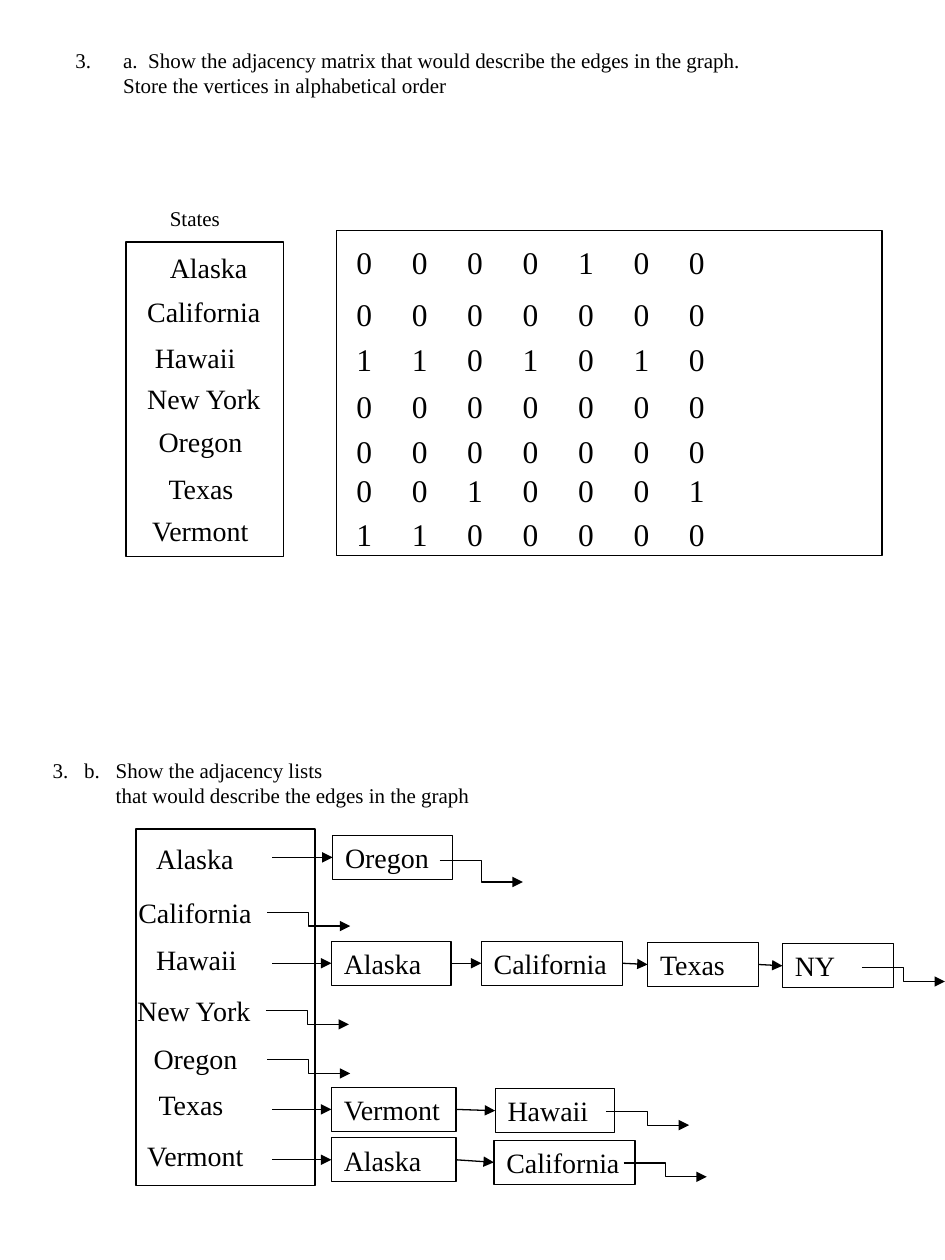
from itertools import pairwise

from lxml.etree import SubElement
from pptx import Presentation
from pptx.dml.color import RGBColor
from pptx.enum.shapes import MSO_CONNECTOR, MSO_SHAPE
from pptx.enum.text import MSO_ANCHOR, MSO_AUTO_SIZE, PP_ALIGN
from pptx.oxml.ns import qn
from pptx.util import Inches, Pt

COLORS = {"ink": "000000"}
FONT = "Times New Roman"
LINE_WIDTH = Pt(0.75)
NODE_HEIGHT = 0.35
POINTER_LEFT = 1.08
COLUMN_STEP = 0.44
LABEL_WIDTHS = {
    "Alaska": 0.83, "California": 1.12, "Hawaii": 0.85, "New York": 1.11,
    "Oregon": 0.88, "Texas": 0.72, "Vermont": 0.98,
}
STATE_OFFSETS = [
    (0.25, 0.02), (0.07, 0.37), (0.13, 0.73), (0.07, 1.06),
    (0.16, 1.4), (0.24, 1.77), (0.11, 2.11),
]
MATRIX_ROWS = [
    (0.05, "0000100"), (0.46, "0000000"), (0.82, "1101010"), (1.19, "0000000"),
    (1.55, "0000000"), (1.86, "0010001"), (2.21, "1100000"),
]
ADJACENCY_LISTS = [
    ((0.06, 0.05), [("Oregon", 1.56, 0.05, 0.95)], (2.41, 0.25, 0.17)),
    ((-0.08, 0.48), [], (1.04, 0.66, 0.11)),
    ((0.06, 0.85),
     [("Alaska", 1.55, 0.89, 0.95), ("California", 2.74, 0.89, 1.12),
      ("Texas", 4.06, 0.9, 0.88), ("NY", 5.13, 0.91, 0.88)],
     (5.76, 1.1, 0.11)),
    ((-0.09, 1.26), [], (1.03, 1.44, 0.11)),
    ((0.04, 1.64), [], (1.04, 1.83, 0.11)),
    ((0.08, 2), [("Vermont", 1.55, 2.05, 0.99), ("Hawaii", 2.85, 2.06, 0.95)],
     (3.73, 2.24, 0.11)),
    ((-0.01, 2.41), [("Alaska", 1.55, 2.45, 0.99), ("California", 2.84, 2.47, 1.12)],
     (3.87, 2.65, 0.11)),
]


def write_text(frame, text, size=16, wrap=False, tabs=()):
    """Fill a text frame, one paragraph per line of text."""
    frame.word_wrap = wrap
    for index, line in enumerate(text.split("\n")):
        para = frame.add_paragraph() if index else frame.paragraphs[0]
        para.alignment = PP_ALIGN.LEFT
        span = para.add_run()
        span.text = line
        span.font.name = FONT
        span.font.size = Pt(size)
        span.font.color.rgb = RGBColor.from_string(COLORS["ink"])
        if tabs:
            stops = SubElement(para._p.get_or_add_pPr(), qn("a:tabLst"))
            for stop in tabs:
                SubElement(stops, qn("a:tab"), pos=str(Inches(stop)), algn="l")


def add_label(page, text, left, top, width, height=0.37, **text_format):
    """Add a text box and return its text frame."""
    frame = page.shapes.add_textbox(
        Inches(left), Inches(top), Inches(width), Inches(height)).text_frame
    write_text(frame, text, **text_format)
    frame.auto_size = MSO_AUTO_SIZE.SHAPE_TO_FIT_TEXT
    return frame


def add_frame(page, left, top, width, height):
    """Add an unfilled outlined rectangle."""
    frame = page.shapes.add_shape(
        MSO_SHAPE.RECTANGLE, Inches(left), Inches(top), Inches(width), Inches(height))
    frame.shadow.inherit = False
    frame.fill.background()
    frame.line.color.rgb = RGBColor.from_string(COLORS["ink"])
    frame.line.width = LINE_WIDTH
    return frame


def add_arrow(page, left, top, width=0, height=0, kind=MSO_CONNECTOR.STRAIGHT):
    """Add a connector with a triangular head at its end."""
    arrow = page.shapes.add_connector(
        kind, Inches(left), Inches(top), Inches(left + width), Inches(top + height))
    arrow.line.color.rgb = RGBColor.from_string(COLORS["ink"])
    arrow.line.width = LINE_WIDTH
    properties = arrow._element.spPr
    SubElement(properties.find(qn("a:ln")), qn("a:tailEnd"), type="triangle")
    SubElement(properties, qn("a:effectLst"))
    return arrow


def add_matrix_heading(page, left, top, width, height):
    """Add the numbered question about the matrix."""
    frame = add_label(
        page, "a.  Show the adjacency matrix that would describe the edges in the graph. "
        "Store the vertices in alphabetical order",
        left, top, width, height, size=12, wrap=True)
    properties = frame.paragraphs[0]._p.get_or_add_pPr()
    properties.set("marL", str(Inches(0.38)))
    properties.set("indent", str(-Inches(0.38)))
    SubElement(properties, qn("a:buAutoNum"), type="arabicPeriod", startAt="3")


def add_lists_heading(page, left, top, width, height):
    """Add the question about the lists, its second line indented."""
    frame = add_label(
        page, "3.\tb.\tShow the adjacency lists\nthat would describe the edges in the graph",
        left, top, width, height, size=12, tabs=(0.25, 0.5))
    properties = frame.paragraphs[1]._p.get_or_add_pPr()
    properties.set("marL", str(Inches(0.5)))
    properties.set("indent", "0")


def add_states(page, left, top, width, height):
    """Add the framed column of states with its title."""
    add_frame(page, left, top, width, height)
    add_label(page, "States", left + 0.25, top - 0.34, 0.6, 0.3, size=12)
    for (name, label_width), (across, down) in zip(LABEL_WIDTHS.items(), STATE_OFFSETS):
        add_label(page, name, left + across, top + down, label_width)


def add_matrix(page, left, top, width, height):
    """Add the framed adjacency matrix, one tabbed line per state."""
    add_frame(page, left, top, width, height)
    for down, digits in MATRIX_ROWS:
        stops = [COLUMN_STEP * column for column in range(1, len(digits))]
        add_label(page, "\t".join(digits), left + 0.06, top + down, width - 0.06, 0.4,
                  size=18, wrap=True, tabs=stops)


def add_chain(page, left, top, entries):
    """Add the linked nodes of one state and the arrows between them."""
    nodes = []
    for name, across, down, width in entries:
        node = add_frame(page, left + across, top + down, width, NODE_HEIGHT)
        node.text_frame.vertical_anchor = MSO_ANCHOR.MIDDLE
        write_text(node.text_frame, name)
        nodes.append(node)
    if nodes:
        middle = top + entries[0][2] + NODE_HEIGHT / 2
        add_arrow(page, left + POINTER_LEFT, middle).end_connect(nodes[0], 1)
    for before, after in pairwise(nodes):
        link = add_arrow(page, left, top)
        link.begin_connect(before, 3)
        link.end_connect(after, 1)


def add_lists(page, left, top, width, height):
    """Add the framed states with their adjacency lists and end arrows."""
    add_frame(page, left, top, width, height)
    for (name, label_width), (offset, entries, ending) in zip(
            LABEL_WIDTHS.items(), ADJACENCY_LISTS):
        add_label(page, name, left + offset[0], top + offset[1], label_width)
        add_chain(page, left, top, entries)
        across, down, drop = ending
        add_arrow(page, left + across, top + down, 0.66, drop, MSO_CONNECTOR.ELBOW)


def main():
    """Build and save the deck."""
    deck = Presentation()
    deck.slide_width, deck.slide_height = Inches(7.5), Inches(10)
    page = deck.slides.add_slide(deck.slide_layouts[6])
    add_matrix_heading(page, 0.5, 0.33, 5.83, 0.5)
    add_states(page, 1, 1.92, 1.25, 2.5)
    add_matrix(page, 2.67, 1.83, 4.33, 2.58)
    add_lists_heading(page, 0.32, 5.96, 3.52, 0.5)
    add_lists(page, 1.08, 6.58, 1.42, 2.83)
    deck.save("out.pptx")


if __name__ == "__main__":
    main()
